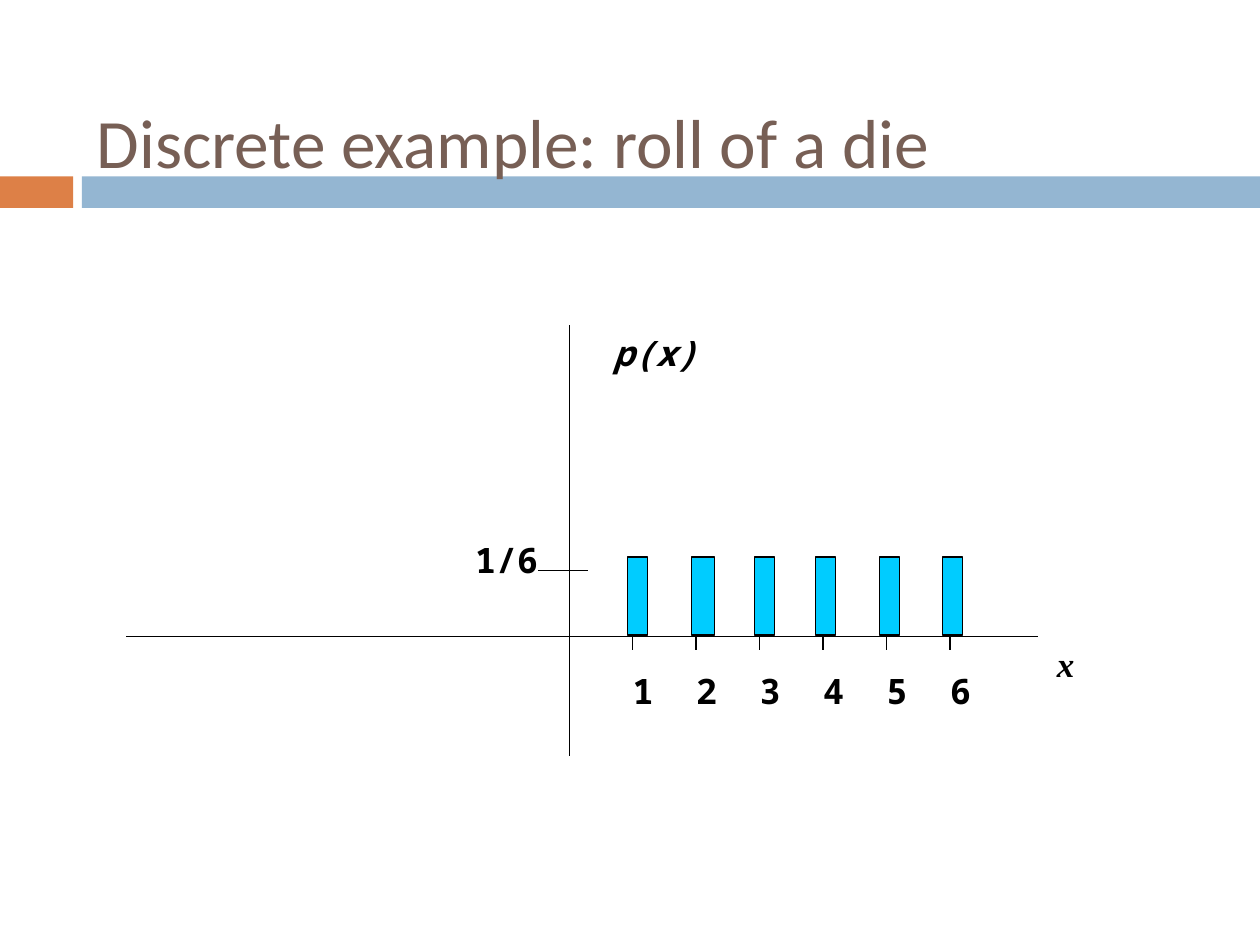
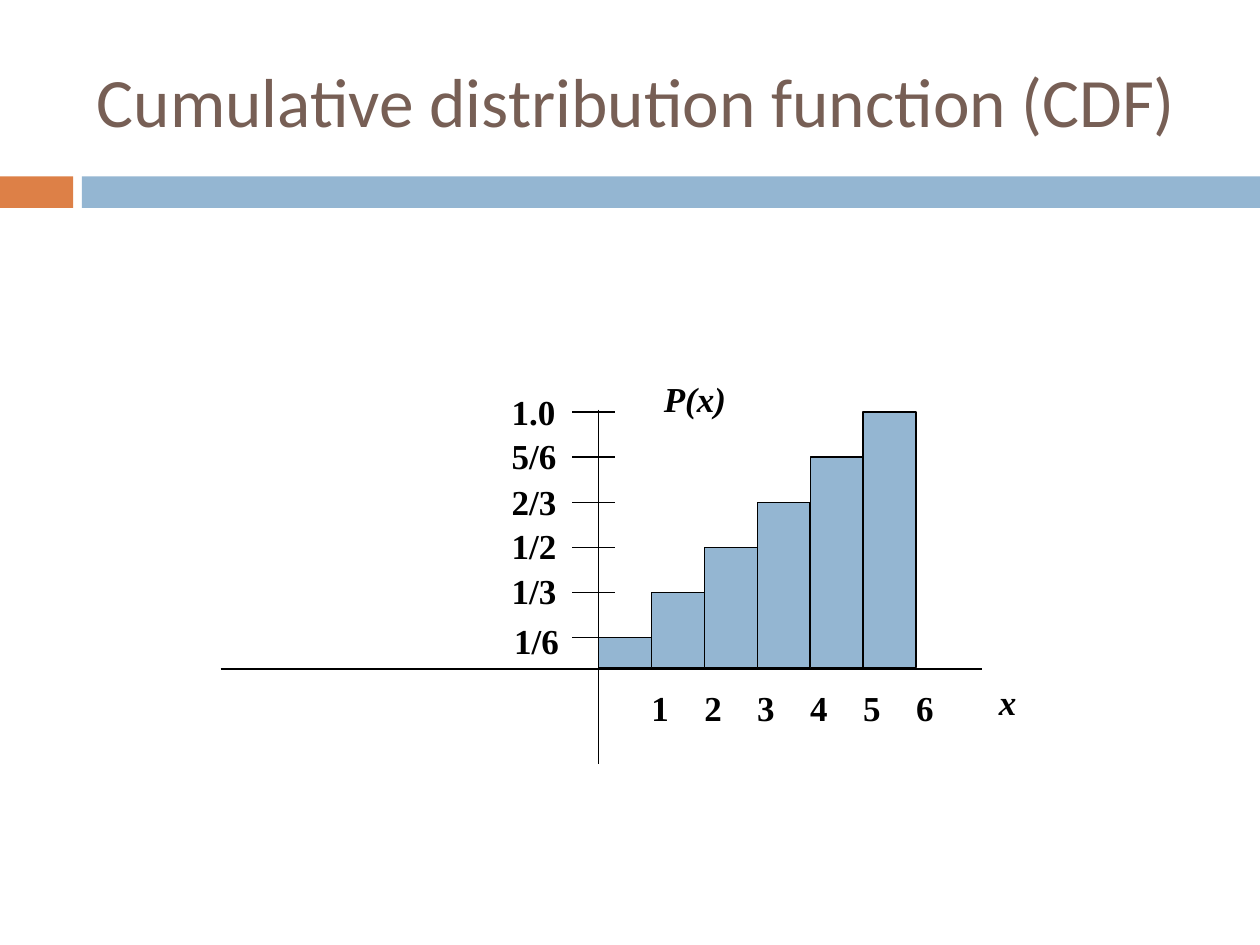
"""Build two slides on the distribution of a die roll: probabilities and their running total."""
from lxml import etree
from pptx import Presentation
from pptx.dml.color import RGBColor
from pptx.enum.shapes import MSO_CONNECTOR, MSO_SHAPE
from pptx.enum.text import MSO_ANCHOR
from pptx.oxml.ns import qn
from pptx.util import Inches, Pt

RECT = MSO_SHAPE.RECTANGLE
STRAIGHT = MSO_CONNECTOR.STRAIGHT
TOP, MIDDLE = MSO_ANCHOR.TOP, MSO_ANCHOR.MIDDLE

COLORS = {"orange": "DD8047", "blue": "94B6D2", "title": "775F55",
          "cyan": "00CCFF", "ink": "000000"}
SANS, MONO, SERIF = "Calibri", "Noto Sans Mono", "Times New Roman"
BANDS = [(0, 0.58, "orange"), (0.65, 9.35, "blue")]
FACES = ["1", "2", "3", "4", "5", "6"]

DIE = {
    "title": "Discrete example: roll of a die", "title_top": 0.58,
    "axes": [(4.52, 2.58, 4.52, 6), (1, 5.05, 8.24, 5.05)],
    "names": [("x", 8.29, 5.05, SERIF), ("p(x)", 4.77, 2.58, MONO)],
    "first_tick": 5.02, "tick_step": 0.504, "face_top": 5.31, "font": MONO,
}
DIE_BARS = [(4.98, 0.16), (5.49, 0.18), (5.99, 0.16), (6.47, 0.16), (6.98, 0.16), (7.48, 0.16)]

CDF = {
    "title": "Cumulative distribution function (CDF)", "title_top": 0.25,
    "axes": [(4.75, 3.25, 4.75, 6.06), (1.75, 5.31, 7.79, 5.31)],
    "names": [("x", 7.83, 5.35, SERIF), ("P(x)", 5.17, 2.95, SERIF)],
    "first_tick": 5.17, "tick_step": 0.42, "face_top": 5.45, "font": SERIF,
}
CDF_LABELS = [("1/6", 4.08, 4.92), ("1/3", 4.06, 4.52), ("1/2", 4.06, 4.16),
              ("2/3", 4.06, 3.81), ("5/6", 4.06, 3.45), ("1.0", 4.06, 3.1)]
CDF_FIRST, CDF_RISE, CDF_BASE = 5.06, 0.358, 5.3


def rgb(name):
    return RGBColor.from_string(COLORS[name])


def add_rect(s, left, top, width, height, fill, outlined=False):
    sp = s.shapes.add_shape(RECT, *map(Inches, (left, top, width, height)))
    sp.shadow.inherit = False
    sp.fill.solid()
    sp.fill.fore_color.rgb = rgb(fill)
    if outlined:
        sp.line.color.rgb = rgb("ink")
        sp.line.width = Pt(0.75)
    else:
        sp.line.fill.background()


def add_line(s, x1, y1, x2, y2):
    line = s.shapes.add_connector(STRAIGHT, *map(Inches, (x1, y1, x2, y2)))
    line.line.color.rgb = rgb("ink")
    line.line.width = Pt(0.75)
    etree.SubElement(line._element.spPr, qn("a:effectLst"))


def add_text(s, text, left, top, width, height, font, size=20, color="ink",
             bold=True, italic=False, inset=True, anchor=TOP):
    tf = s.shapes.add_textbox(*map(Inches, (left, top, width, height))).text_frame
    tf.word_wrap = True
    tf.vertical_anchor = anchor
    if not inset:
        tf.margin_left = tf.margin_right = tf.margin_top = tf.margin_bottom = 0
    tf.text = text
    f = tf.paragraphs[0].runs[0].font
    f.name, f.size, f.bold, f.italic = font, Pt(size), bold, italic
    f.color.rgb = rgb(color)


def add_label(s, text, left, top, font):
    add_text(s, text, left, top, 0.52, 0.31, font, inset=False)


def start_slide(prs, plot):
    s = prs.slides.add_slide(prs.slide_layouts[6])
    for left, width, fill in BANDS:
        add_rect(s, left, 1.4, width, 0.25, fill)
    add_text(s, plot["title"], 0.67, plot["title_top"], 8.92, 1.08, SANS,
             size=39.6, color="title", bold=False, anchor=MIDDLE)
    return s


def add_axes(s, plot):
    for ends in plot["axes"]:
        add_line(s, *ends)
    for text, left, top, font in plot["names"]:
        add_text(s, text, left, top, 1.1, 0.5, font, italic=True)
    for i, face in enumerate(FACES):
        add_label(s, face, plot["first_tick"] + i * plot["tick_step"],
                  plot["face_top"], plot["font"])


def build_die(prs):
    s = start_slide(prs, DIE)
    for i in range(len(FACES)):
        x = DIE["first_tick"] + i * DIE["tick_step"]
        add_line(s, x, 4.79, x, 5.16)
    add_axes(s, DIE)
    add_line(s, 4.27, 4.53, 4.67, 4.53)
    add_label(s, "1/6", 3.77, 4.27, MONO)
    for left, width in DIE_BARS:
        add_rect(s, left, 4.42, width, 0.62, "cyan", outlined=True)


def build_cdf(prs):
    s = start_slide(prs, CDF)
    levels = [CDF_FIRST - i * CDF_RISE for i in range(len(FACES))]
    step = CDF["tick_step"]
    for i, level in enumerate(levels):
        add_rect(s, 4.75 + i * step, level, step, CDF_BASE - level, "blue", outlined=True)
    add_axes(s, CDF)
    for level, (text, left, top) in zip(levels, CDF_LABELS):
        add_line(s, 4.54, level, 4.88, level)
        add_label(s, text, left, top, SERIF)


def main():
    prs = Presentation()
    prs.slide_width, prs.slide_height = Inches(10), Inches(7.5)
    build_die(prs)
    build_cdf(prs)
    prs.save("out.pptx")


if __name__ == "__main__":
    main()
